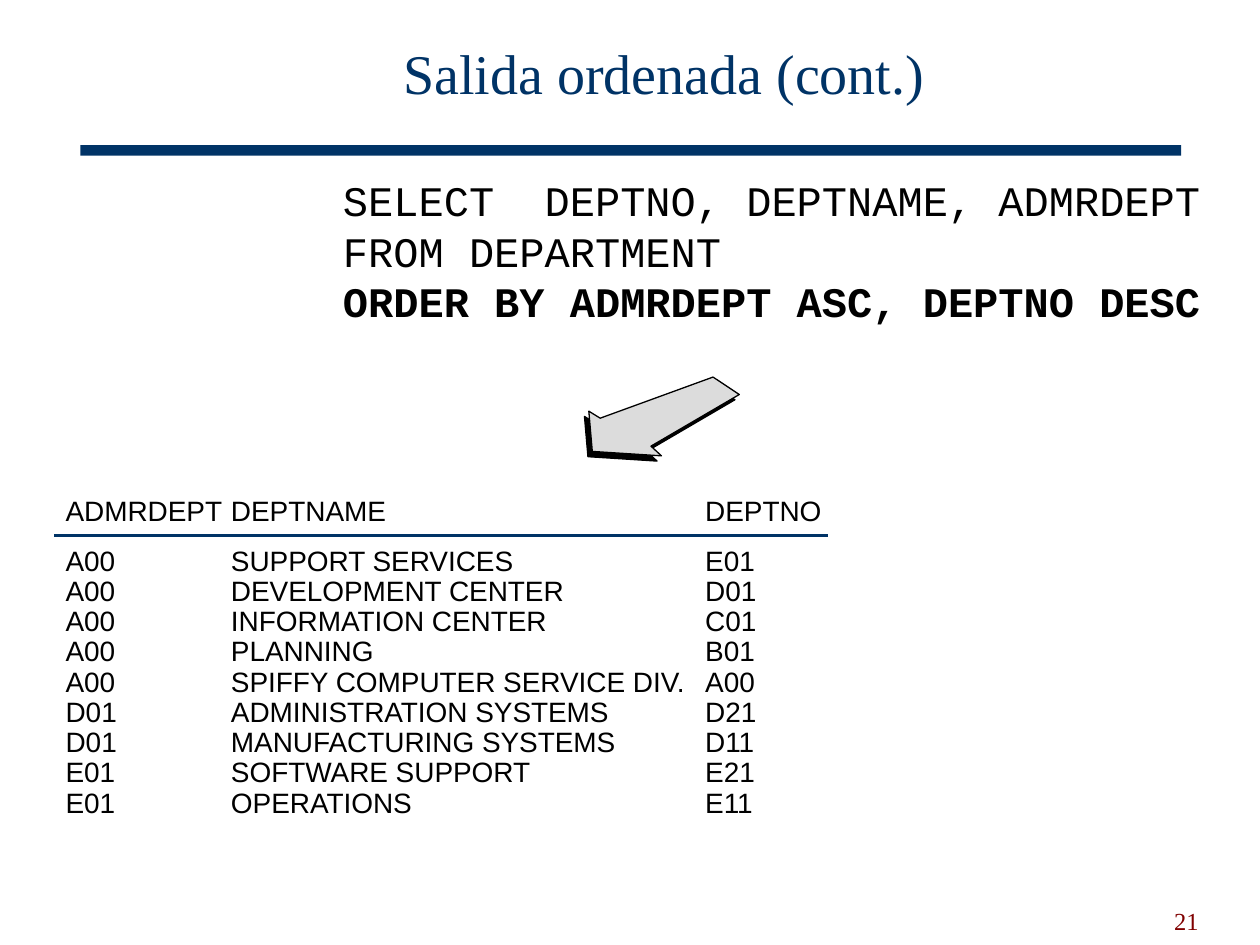
from lxml.etree import SubElement
from pptx import Presentation
from pptx.dml.color import RGBColor
from pptx.enum.shapes import MSO_CONNECTOR as CONN, MSO_SHAPE as SHAPE
from pptx.enum.text import MSO_ANCHOR as ANCHOR, PP_ALIGN as ALIGN
from pptx.oxml.ns import qn
from pptx.util import Pt

NAVY, MAROON, GREY, BLACK = "003366", "800000", "DCDCDC", "000000"
NO_STYLE = "{2D5ABB26-0587-4C30-8999-92F81FD0307C}"
TITLE = {"name": "Times New Roman", "size": Pt(32), "color": NAVY}
NUMBER = {"name": "Times New Roman", "size": Pt(14), "color": MAROON}
CODE = {"name": "Courier New", "size": Pt(24), "color": BLACK}
CELL = {"name": "Arial", "size": Pt(16), "color": BLACK}
NO_MARGINS = {"margin_left": 0, "margin_top": 0, "margin_right": 0, "margin_bottom": 0}


def rgb(color):
    return RGBColor.from_string(color)


def set_format(obj, values):
    for name, value in values.items():
        setattr(obj, name, value)


class Deck:
    def __init__(self, width, height):
        self.prs = Presentation()
        self.prs.slide_width, self.prs.slide_height = Pt(width), Pt(height)
        self.s = self.prs.slides.add_slide(self.prs.slide_layouts[5])

    def run(self, p, text, style, **fmt):
        set_format(p, fmt)
        r = p.add_run()
        r.text = text
        for name, value in style.items():
            if name == "color":
                r.font.color.rgb = rgb(value)
            else:
                setattr(r.font, name, value)

    def title(self, text, x, y, w, h):
        sp = self.s.shapes.title
        set_format(sp, {"left": Pt(x), "top": Pt(y), "width": Pt(w), "height": Pt(h)})
        sp.text_frame.vertical_anchor = ANCHOR.MIDDLE
        self.run(sp.text_frame.paragraphs[0], text, TITLE,
                 alignment=ALIGN.CENTER, line_spacing=0.85)

    def text(self, lines, x, y, w, h, frame, align=ALIGN.LEFT):
        tf = self.s.shapes.add_textbox(Pt(x), Pt(y), Pt(w), Pt(h)).text_frame
        set_format(tf, {"word_wrap": True, **frame})
        for i, (line, style) in enumerate(lines):
            p = tf.add_paragraph() if i else tf.paragraphs[0]
            self.run(p, line, style, alignment=align)

    def bar(self, x, y, w, h, color):
        sp = self.s.shapes.add_shape(SHAPE.RECTANGLE, Pt(x), Pt(y), Pt(w), Pt(h))
        sp.shadow.inherit = False
        sp.fill.solid()
        sp.fill.fore_color.rgb = rgb(color)
        sp.line.fill.background()

    def line(self, x1, y1, x2, y2, color, width):
        cx = self.s.shapes.add_connector(CONN.STRAIGHT, Pt(x1), Pt(y1), Pt(x2), Pt(y2))
        cx.line.color.rgb = rgb(color)
        cx.line.width = Pt(width)
        SubElement(cx.element.spPr, qn("a:effectLst"))

    def outline(self, points, fill):
        pts = [(Pt(x), Pt(y)) for x, y in points]
        fb = self.s.shapes.build_freeform(*pts[0])
        fb.add_line_segments(pts[1:], close=True)
        sp = fb.convert_to_shape()
        sp.shadow.inherit = False
        sp.fill.solid()
        sp.fill.fore_color.rgb = rgb(fill)
        sp.line.color.rgb = rgb(BLACK)
        sp.line.width = Pt(0.75)

    def table(self, rows, x, y, widths, head_h, row_h):
        heights = [head_h] + [row_h] * (len(rows) - 1)
        gf = self.s.shapes.add_table(len(rows), len(widths), Pt(x), Pt(y),
                                     Pt(sum(widths)), Pt(sum(heights)))
        gf.element.xpath(".//a:tableStyleId")[0].text = NO_STYLE
        tbl = gf.table
        set_format(tbl, {"first_row": False, "horz_banding": False})
        for col, w in zip(tbl.columns, widths):
            col.width = Pt(w)
        for row, h, values in zip(tbl.rows, heights, rows):
            row.height = Pt(h)
            for cell, value in zip(row.cells, values):
                set_format(cell, NO_MARGINS)
                cell.fill.background()
                self.run(cell.text_frame.paragraphs[0], value, CELL,
                         line_spacing=Pt(row_h))


def main():
    deck = Deck(720, 540)

    # Title, rule and page number
    deck.bar(46, 83, 629, 6, NAVY)
    deck.text([("21", NUMBER)], 519, 502, 173, 36,
              {"vertical_anchor": ANCHOR.BOTTOM}, ALIGN.RIGHT)
    deck.title("Salida ordenada (cont.)", 88.5, 10, 582, 68)

    # Query
    deck.text([("SELECT  DEPTNO, DEPTNAME, ADMRDEPT", CODE),
               ("FROM DEPARTMENT", CODE),
               ("ORDER BY ADMRDEPT ASC, DEPTNO DESC", {**CODE, "bold": True})],
              196, 100, 507.5, 86.5, NO_MARGINS)

    # Query result
    deck.table([("ADMRDEPT", "DEPTNAME", "DEPTNO"),
                ("A00", "SUPPORT SERVICES", "E01"),
                ("A00", "DEVELOPMENT CENTER", "D01"),
                ("A00", "INFORMATION CENTER", "C01"),
                ("A00", "PLANNING", "B01"),
                ("A00", "SPIFFY COMPUTER SERVICE DIV.", "A00"),
                ("D01", "ADMINISTRATION SYSTEMS", "D21"),
                ("D01", "MANUFACTURING SYSTEMS", "D11"),
                ("E01", "SOFTWARE SUPPORT", "E21"),
                ("E01", "OPERATIONS", "E11")],
               37.5, 284, (94.5, 271, 70), 28.5, 17.25)

    # Arrow with its offset shadow
    arrow = [(422.5, 225.5), (407.5, 215.5), (343, 239), (336.5, 235),
             (338.5, 258), (378, 260.5), (372, 255)]
    deck.outline([(x - 2.5, y + 3) for x, y in arrow], BLACK)
    deck.outline(arrow, GREY)

    # Line under the column heads
    deck.line(31, 306, 473, 306, NAVY, 2.25)

    deck.prs.save("out.pptx")


if __name__ == "__main__":
    main()
